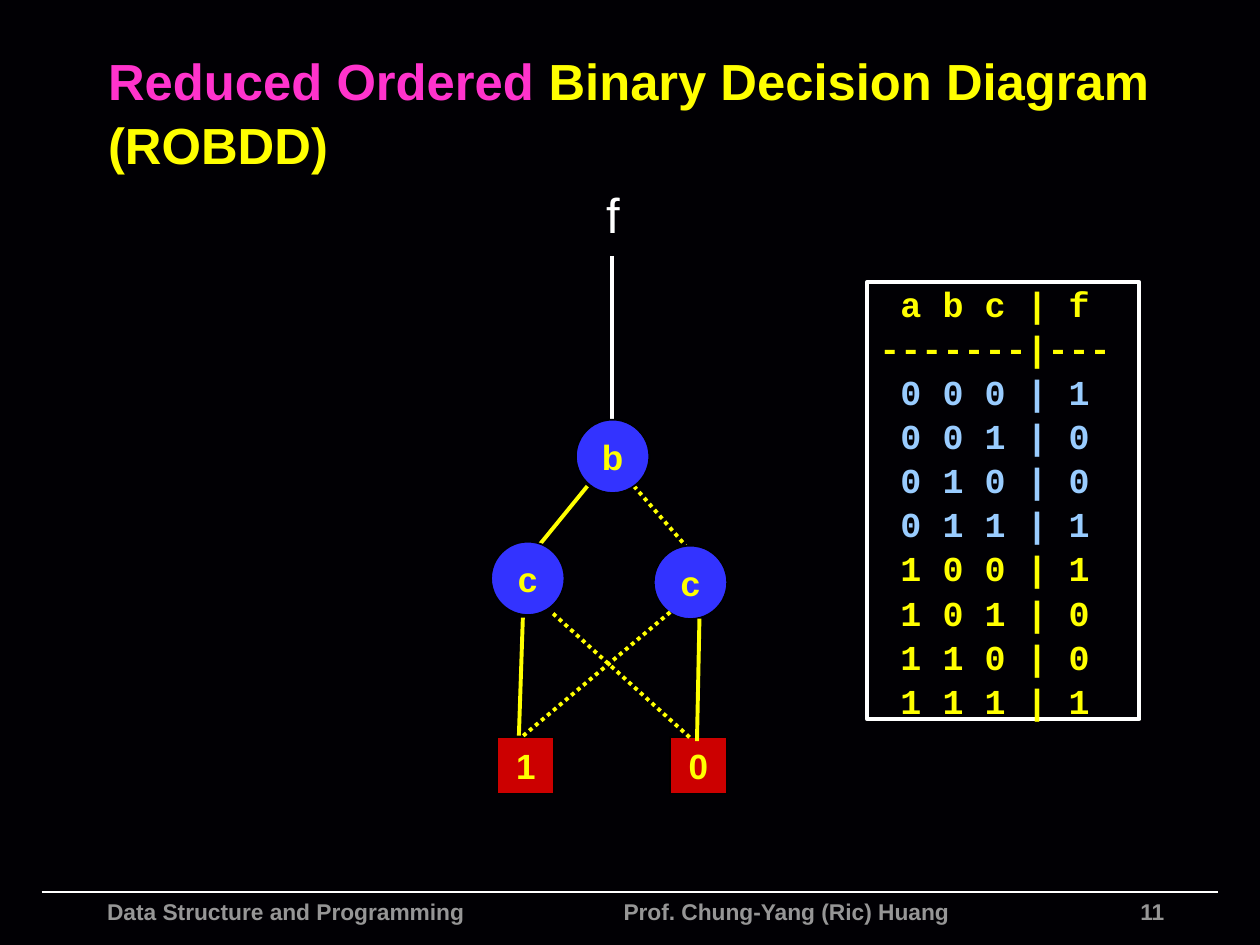
from dataclasses import dataclass

from pptx import Presentation
from pptx.dml.color import RGBColor
from pptx.enum.dml import MSO_LINE
from pptx.enum.shapes import MSO_CONNECTOR, MSO_SHAPE
from pptx.enum.text import MSO_ANCHOR, PP_ALIGN
from pptx.oxml.ns import qn
from pptx.util import Cm, Pt
from lxml.etree import SubElement


@dataclass(frozen=True)
class Theme:
    background: str = "010004"
    white: str = "FFFFFF"
    black: str = "000000"
    yellow: str = "FFFF00"
    pink: str = "FF33CC"
    sky: str = "99CCFF"
    grey: str = "969696"
    node: str = "3333FF"
    leaf: str = "CC0000"
    sans: str = "Arial"
    mono: str = "Courier New"
    title: float = 29
    function: float = 28
    body: float = 20
    footer: float = 13
    thin: float = 1
    thick: float = 2.25


THEME = Theme()


@dataclass(frozen=True)
class Box:
    left: float
    top: float
    width: float
    height: float

    def inner(self, x, y, width, height):
        return Box(self.left + x, self.top + y, width, height)

    def lengths(self):
        return [Cm(v) for v in (self.left, self.top, self.width, self.height)]


def rgb(value):
    return RGBColor.from_string(value)


def style(paragraph, size, color, bold=True, face=THEME.sans, align=PP_ALIGN.LEFT):
    paragraph.alignment = align
    font = paragraph.font
    font.name, font.size, font.bold = face, Pt(size), bold
    font.color.rgb = rgb(color)


def add_label(slide, box, text="", anchor=MSO_ANCHOR.TOP, wrap=True):
    frame = slide.shapes.add_textbox(*box.lengths()).text_frame
    frame.word_wrap = wrap
    frame.vertical_anchor = anchor
    frame.text = text
    return frame


def add_panel(slide, kind, box, line, line_width, fill=None):
    panel = slide.shapes.add_shape(kind, *box.lengths())
    panel.shadow.inherit = False
    if fill:
        panel.fill.solid()
        panel.fill.fore_color.rgb = rgb(fill)
    else:
        panel.fill.background()
    panel.line.color.rgb = rgb(line)
    panel.line.width = Pt(line_width)
    panel.text_frame.word_wrap = True
    panel.text_frame.vertical_anchor = MSO_ANCHOR.MIDDLE
    return panel.text_frame


def set_margins(frame, margin):
    frame.margin_left = frame.margin_right = Cm(margin)
    frame.margin_top = frame.margin_bottom = Cm(margin)


def add_edge(slide, box, start, end, color, width, dotted=False):
    ends = [Cm(v) for x, y in (start, end) for v in (box.left + x, box.top + y)]
    edge = slide.shapes.add_connector(MSO_CONNECTOR.STRAIGHT, *ends)
    edge.line.color.rgb = rgb(color)
    edge.line.width = Pt(width)
    if dotted:
        edge.line.dash_style = MSO_LINE.ROUND_DOT
    SubElement(edge._element.spPr, qn("a:effectLst"))


def add_title(slide, box):
    heading = add_label(slide, box, anchor=MSO_ANCHOR.MIDDLE).paragraphs[0]
    style(heading, THEME.title, THEME.yellow)
    heading.line_spacing = 1.05
    emphasis = heading.add_run()
    emphasis.text = "Reduced Ordered"
    emphasis.font.color.rgb = rgb(THEME.pink)
    heading.add_run().text = " Binary Decision Diagram (ROBDD)"


def add_vertex(slide, kind, box, name, fill):
    frame = add_panel(slide, kind, box, THEME.black, THEME.thin, fill)
    set_margins(frame, 0.13)
    frame.text = name
    style(frame.paragraphs[0], THEME.body, THEME.yellow, align=PP_ALIGN.CENTER)


def add_decision_diagram(slide, box):
    function = add_label(slide, box.inner(2.19, 0, 0.53, 1.45), "f", wrap=False)
    set_margins(function, 0.13)
    style(function.paragraphs[0], THEME.function, THEME.white, False,
          align=PP_ALIGN.CENTER)
    add_edge(slide, box, (2.44, 1.58), (2.44, 4.88), THEME.white, THEME.thick)

    upper_edges = [((2.88, 6.22), (3.92, 7.42), True),
                   ((1.94, 6.22), (0.92, 7.47), False)]
    lower_edges = [((3.61, 8.76), (0.59, 11.3), True),
                   ((0.64, 8.87), (0.56, 11.25), False),
                   ((4.2, 8.89), (4.15, 11.36), False),
                   ((1.25, 8.79), (4.02, 11.3), True)]
    for start, end, dotted in upper_edges:
        add_edge(slide, box, start, end, THEME.yellow, THEME.thick, dotted)
    for name, x, y in [("b", 1.71, 4.88), ("c", 0, 7.34), ("c", 3.28, 7.42)]:
        add_vertex(slide, MSO_SHAPE.OVAL, box.inner(x, y, 1.48, 1.48), name, THEME.node)
    for name, x in [("1", 0.13), ("0", 3.61)]:
        add_vertex(slide, MSO_SHAPE.RECTANGLE, box.inner(x, 11.28, 1.14, 1.14),
                   name, THEME.leaf)
    for start, end, dotted in lower_edges:
        add_edge(slide, box, start, end, THEME.yellow, THEME.thick, dotted)


def add_truth_table(slide, box):
    frame = add_panel(slide, MSO_SHAPE.RECTANGLE, box, THEME.white, THEME.thick)
    rows = [(" a b c | f", THEME.yellow), ("-------|---", THEME.yellow)]
    for index in range(8):
        a, b, c = index >> 2, index >> 1 & 1, index & 1
        f = int(b == c)
        rows.append((f" {a} {b} {c} | {f}", THEME.yellow if a else THEME.sky))
    frame.text = "\n".join(text for text, _ in rows)
    for row, (_, color) in zip(frame.paragraphs, rows):
        style(row, THEME.body, color, face=THEME.mono)
        row.line_spacing = 1.05


def add_footer(slide, box):
    add_edge(slide, box, (0, 0), (box.width, 0), THEME.white, THEME.thin)
    credits = add_label(slide, box.inner(1.07, 0, 18.39, 1.07),
                        "Data Structure and Programming\tProf. Chung-Yang (Ric) Huang")
    line = credits.paragraphs[0]
    tabs = SubElement(line._p.get_or_add_pPr(), qn("a:tabLst"))
    SubElement(tabs, qn("a:tab"), pos=str(Cm(10.41)), algn="l")
    style(line, THEME.footer, THEME.grey)
    number = add_label(slide, box.inner(14.83, 0, 8.05, 0.46), "11")
    style(number.paragraphs[0], THEME.footer, THEME.grey, align=PP_ALIGN.RIGHT)


def main():
    deck = Presentation()
    deck.slide_width, deck.slide_height = Cm(25.4), Cm(19.05)
    slide = deck.slides.add_slide(deck.slide_layouts[6])
    slide.background.fill.solid()
    slide.background.fill.fore_color.rgb = rgb(THEME.background)
    add_footer(slide, Box(0.84, 17.98, 23.72, 1.07))
    add_title(slide, Box(1.93, 0.94, 22.45, 2.57))
    add_decision_diagram(slide, Box(9.9, 3.58, 4.76, 12.42))
    add_truth_table(slide, Box(17.48, 5.69, 5.49, 8.81))
    deck.save("out.pptx")


if __name__ == "__main__":
    main()
